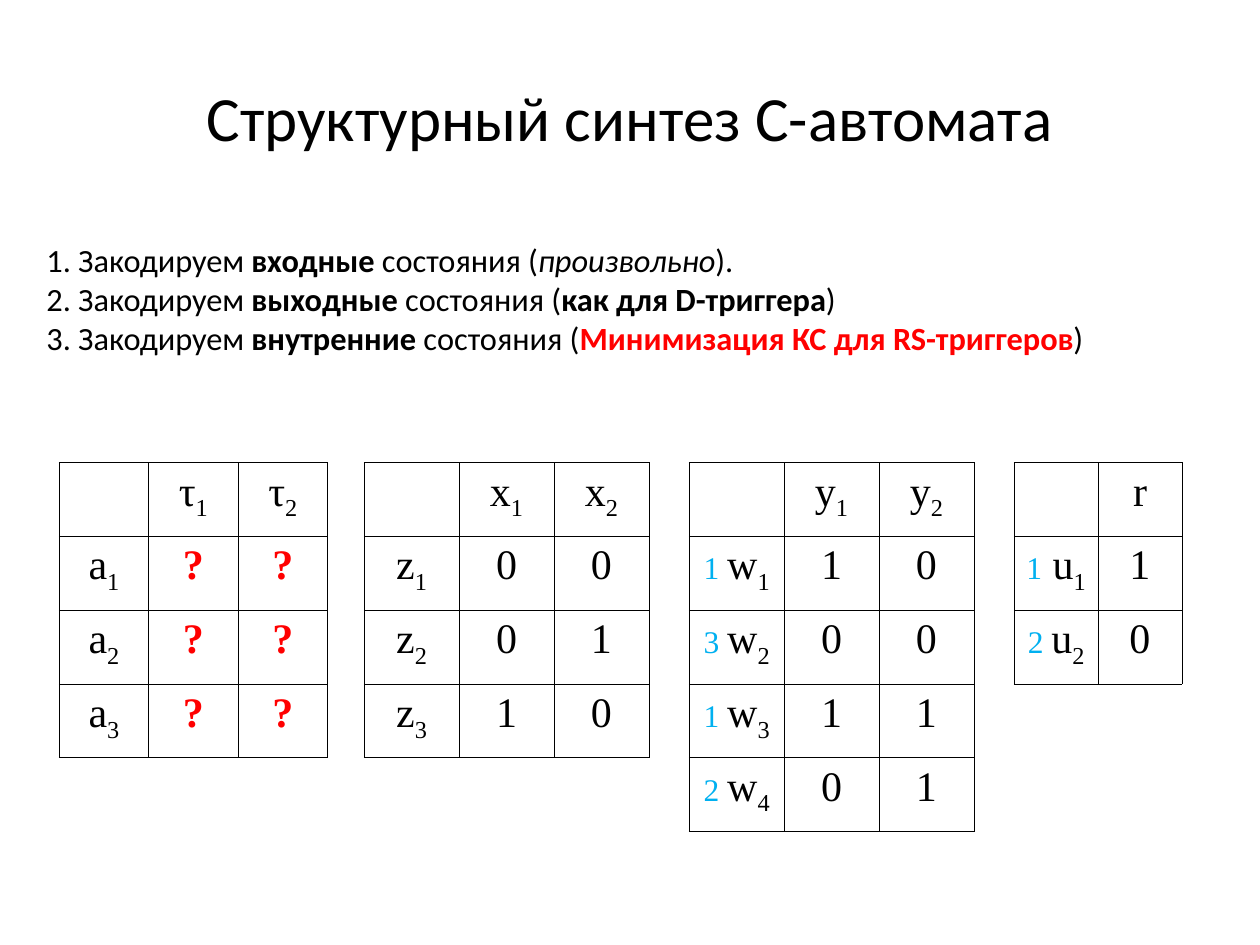
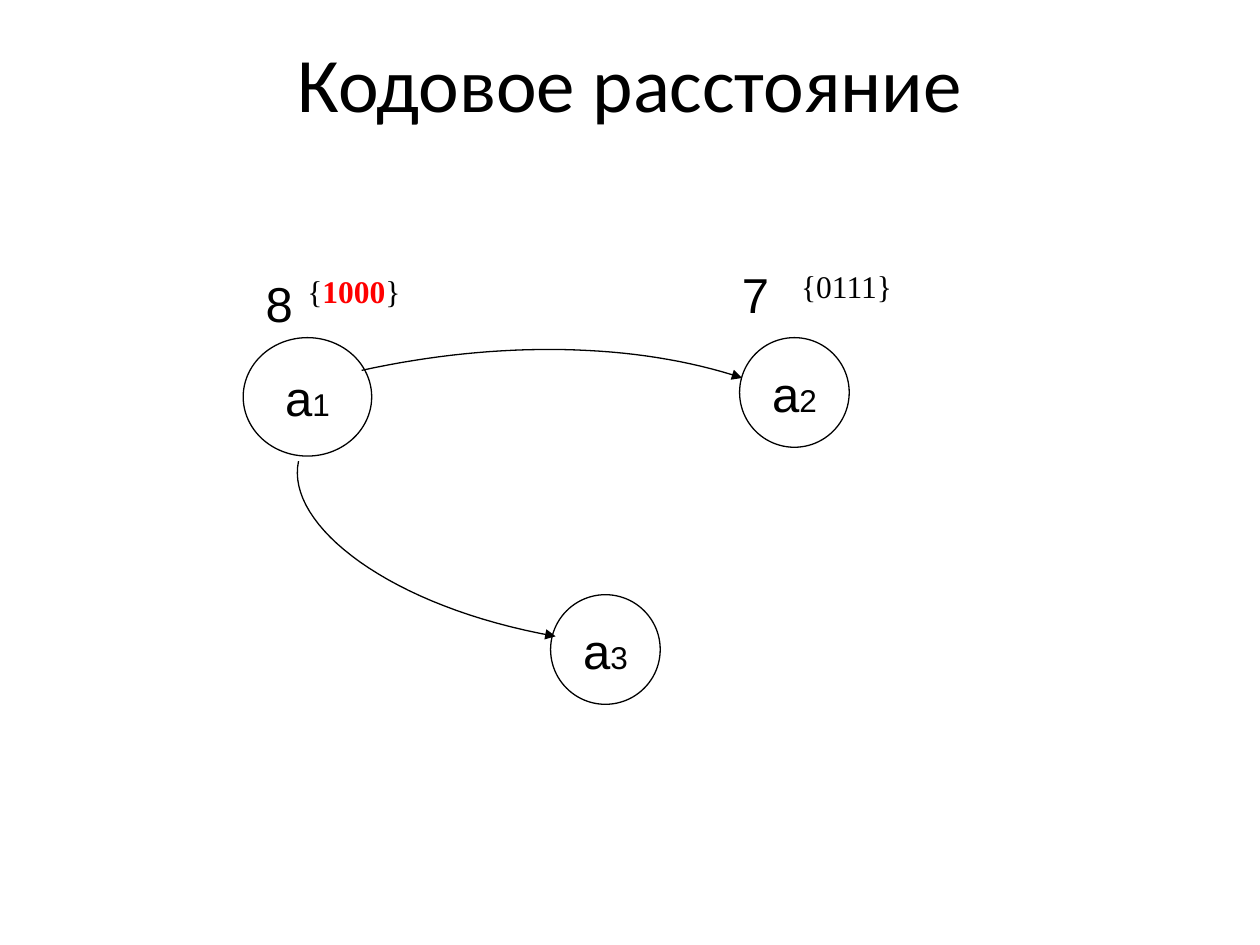
from typing import NamedTuple

from lxml.etree import SubElement
from pptx import Presentation
from pptx.dml.color import RGBColor
from pptx.enum.shapes import MSO_SHAPE
from pptx.enum.text import MSO_ANCHOR, PP_ALIGN
from pptx.oxml import parse_xml
from pptx.oxml.ns import nsdecls, qn
from pptx.util import Inches, Pt

COLORS = {"ink": "000000", "red": "FF0000", "cyan": "00B0F0"}
SANS, SERIF, PLAIN = "Calibri", "Times New Roman", "Arial"
ROW = 2.93 / 5  # height of every table row
TOP = 3.67  # top of all tables
STEPS = 32  # segments in a curve


class Span(NamedTuple):
    text: str
    color: str = "ink"
    bold: bool = False
    slant: bool = False
    sub: bool = False
    size: float = 0  # 0 takes the size of the text around it


class Box(NamedTuple):
    left: float
    top: float
    width: float
    height: float


class Grid(NamedTuple):
    left: float
    width: float
    rows: list[list[list[Span]]]


class State(NamedTuple):
    index: str
    box: Box


class Label(NamedTuple):
    box: Box
    spans: list[Span]
    font: str
    size: float


class Curve(NamedTuple):
    """Four control points of a cubic curve."""
    start: tuple[float, float]
    pull: tuple[float, float]
    push: tuple[float, float]
    end: tuple[float, float]


# Shared drawing
def rgb(name: str) -> RGBColor:
    return RGBColor.from_string(COLORS[name])


def place(box: Box) -> list[int]:
    return [Inches(value) for value in box]


def write(para, spans: list[Span], font: str, size: float, align=PP_ALIGN.LEFT) -> None:
    para.alignment = align
    for span in spans:
        run = para.add_run()
        run.text = span.text
        style = run.font
        style.name, style.size = font, Pt(span.size or size)
        style.bold, style.italic = span.bold, span.slant
        style.color.rgb = rgb(span.color)
        if span.sub:
            run._r.get_or_add_rPr().set("baseline", "-25000")


def add_text(slide, box: Box, lines: list[list[Span]], font: str, size: float,
             align=PP_ALIGN.LEFT, anchor=MSO_ANCHOR.TOP) -> None:
    frame = slide.shapes.add_textbox(*place(box)).text_frame
    frame.word_wrap = True
    frame.vertical_anchor = anchor
    for count, spans in enumerate(lines):
        para = frame.add_paragraph() if count else frame.paragraphs[0]
        write(para, spans, font, size, align)


def add_title(slide, text: str, height: float, size: float) -> None:
    add_text(slide, Box(0.5, 0.3, 9, height), [[Span(text)]], SANS, size,
             PP_ALIGN.CENTER, MSO_ANCHOR.MIDDLE)


def outline(shape) -> None:
    shape.shadow.inherit = False
    shape.fill.background()
    shape.line.color.rgb = rgb("ink")
    shape.line.width = Pt(0.75)


# Tables
def sym(letter: str, index: int, mark: str = "") -> list[Span]:
    spans = [Span(letter), Span(str(index), sub=True)]
    return [Span(mark, "cyan", size=18)] + spans if mark else spans


def bits(text: str) -> list[list[Span]]:
    return [[Span(bit)] for bit in text]


def heads(letter: str) -> list[list[Span]]:
    return [[], sym(letter, 1), sym(letter, 2)]


def add_edges(cell) -> None:
    props = cell._tc.get_or_add_tcPr()
    for place_no, side in enumerate(("lnL", "lnR", "lnT", "lnB")):
        props.insert(place_no, parse_xml(
            f'<a:{side} {nsdecls("a")} w="{Pt(0.45)}"><a:solidFill>'
            f'<a:srgbClr val="{COLORS["ink"]}"/></a:solidFill></a:{side}>'))


def add_grid(slide, grid: Grid) -> None:
    count, wide = len(grid.rows), len(grid.rows[0])
    box = Box(grid.left, TOP, grid.width, ROW * count)
    table = slide.shapes.add_table(count, wide, *place(box)).table
    table.first_row = table.horz_banding = False
    for row, items in zip(table.rows, grid.rows):
        row.height = Inches(ROW)
        for cell, spans in zip(row.cells, items):
            cell.margin_left = cell.margin_right = Inches(0.07)
            cell.margin_top = cell.margin_bottom = Inches(0.05)
            cell.fill.background()
            add_edges(cell)
            write(cell.text_frame.paragraphs[0], spans, SERIF, 24, PP_ALIGN.CENTER)


# Graph
def add_state(slide, state: State) -> None:
    shape = slide.shapes.add_shape(MSO_SHAPE.OVAL, *place(state.box))
    outline(shape)
    frame = shape.text_frame
    frame.word_wrap = False
    frame.vertical_anchor = MSO_ANCHOR.MIDDLE
    write(frame.paragraphs[0], [Span("a"), Span(state.index, size=18)],
          PLAIN, 28, PP_ALIGN.CENTER)


def add_curve(slide, curve: Curve) -> None:
    def point(t: float) -> tuple[int, int]:
        parts = ((1 - t) ** 3, 3 * t * (1 - t) ** 2, 3 * t * t * (1 - t), t ** 3)
        x, y = (sum(p * v for p, v in zip(parts, axis)) for axis in zip(*curve))
        return Inches(x), Inches(y)

    points = [point(step / STEPS) for step in range(STEPS + 1)]
    pen = slide.shapes.build_freeform(*points[0])
    pen.add_line_segments(points[1:], close=False)
    shape = pen.convert_to_shape()
    outline(shape)
    SubElement(shape.line._get_or_add_ln(), qn("a:tailEnd"), type="triangle")


# Slide 1: coding tables
def add_coding(slide) -> None:
    add_title(slide, "Структурный синтез С-автомата", 1.25, 36)
    steps = [
        ("входные", Span("произвольно", slant=True), ")."),
        ("выходные", Span("как для D-триггера", bold=True), ")"),
        ("внутренние", Span("Минимизация КС для RS-триггеров", "red", bold=True), ")"),
    ]
    lines = [[Span(f"{number}. Закодируем "), Span(kind, bold=True),
              Span(" состояния ("), note, Span(end)]
             for number, (kind, note, end) in enumerate(steps, 1)]
    add_text(slide, Box(0.27, 1.86, 9.23, 1.06), lines, SANS, 18.5)

    asks = [[Span("?", "red", bold=True)]] * 2
    inner = [[sym(letter, i)] + asks for i, letter in enumerate("аaa", 1)]
    inputs = [[sym("z", i)] + bits(code)
              for i, code in enumerate(("00", "01", "10"), 1)]
    words = [[sym("w", i, mark)] + bits(code) for i, (mark, code) in enumerate(
        (("1 ", "10"), ("3 ", "00"), ("1 ", "11"), ("2 ", "01")), 1)]
    outs = [[sym(" u", 1, "1")] + bits("1"), [sym("u", 2, "2 ")] + bits("0")]
    for grid in (
        Grid(0.47, 2.13, [heads("τ")] + inner),
        Grid(2.89, 2.26, [heads("x")] + inputs),
        Grid(5.47, 2.26, [heads("y")] + words),
        Grid(8.05, 1.33, [[[], [Span("r")]]] + outs),
    ):
        add_grid(slide, grid)


# Slide 2: code distance graph
def add_graph(slide) -> None:
    add_title(slide, "Кодовое расстояние", 0.69, 44)
    for state in (
        State("1", Box(1.93, 2.68, 1.02, 0.94)),
        State("2", Box(5.87, 2.68, 0.87, 0.87)),
        State("3", Box(4.37, 4.72, 0.87, 0.87)),
    ):
        add_state(slide, state)
    for curve in (
        Curve((2.87, 2.94), (3.96, 2.7), (5.05, 2.72), (5.89, 3)),
        Curve((2.37, 3.66), (2.26, 4.17), (3.1, 4.82), (4.41, 5.05)),
    ):
        add_curve(slide, curve)
    code = [Span("{"), Span("1000", "red", bold=True), Span("}")]
    for label in (
        Label(Box(2.01, 2.12, 0.39, 0.57), [Span("8")], PLAIN, 28),
        Label(Box(5.79, 2.05, 0.55, 0.57), [Span("7")], PLAIN, 28),
        Label(Box(6.26, 2.07, 1.42, 0.4), [Span("{0111}")], SERIF, 18),
        Label(Box(2.34, 2.11, 1.42, 0.4), code, SERIF, 18),
    ):
        add_text(slide, label.box, [label.spans], label.font, label.size)


def main() -> None:
    deck = Presentation()
    deck.slide_width, deck.slide_height = Inches(10), Inches(7.5)
    for build in (add_coding, add_graph):
        build(deck.slides.add_slide(deck.slide_layouts[6]))
    deck.save("out.pptx")


if __name__ == "__main__":
    main()
